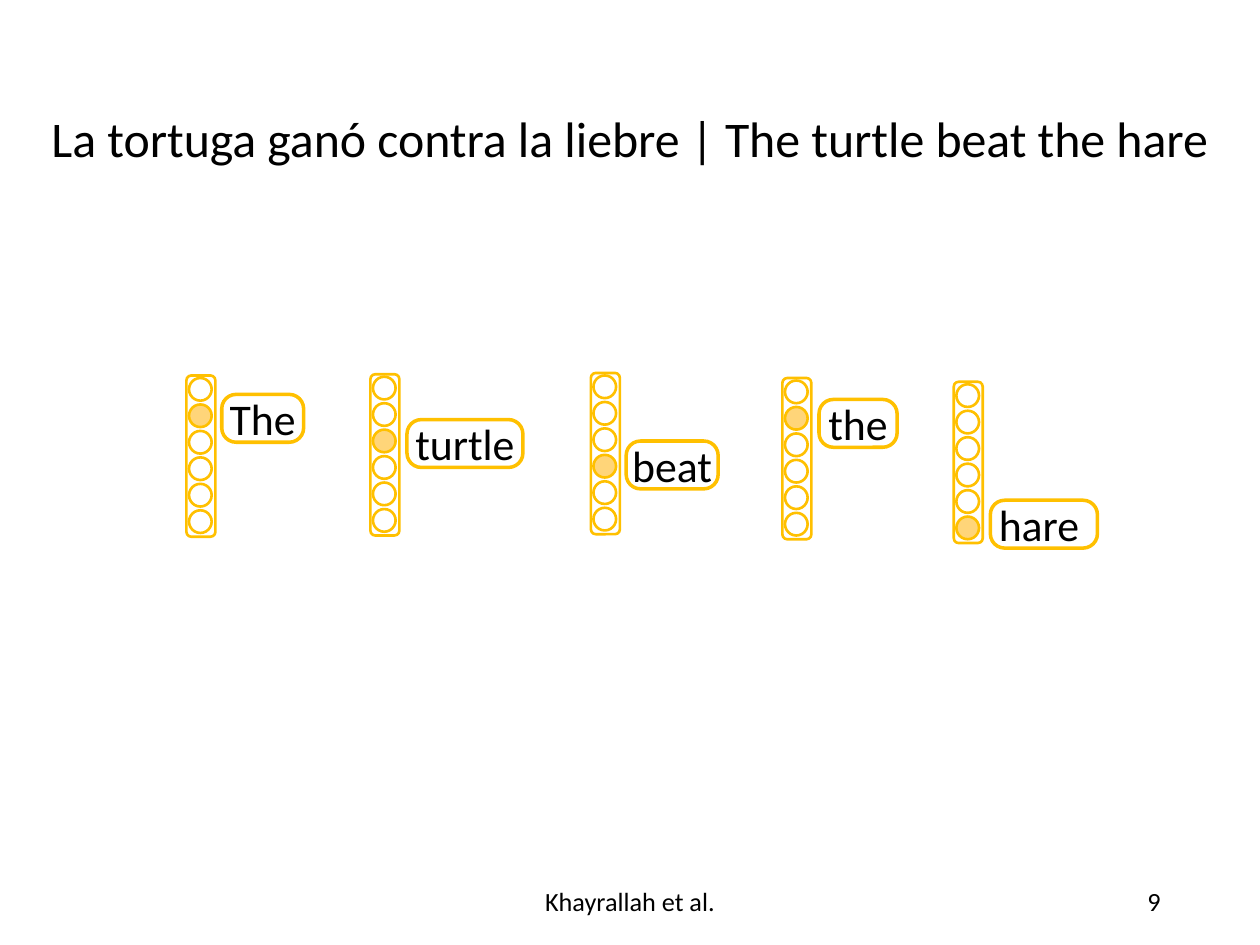
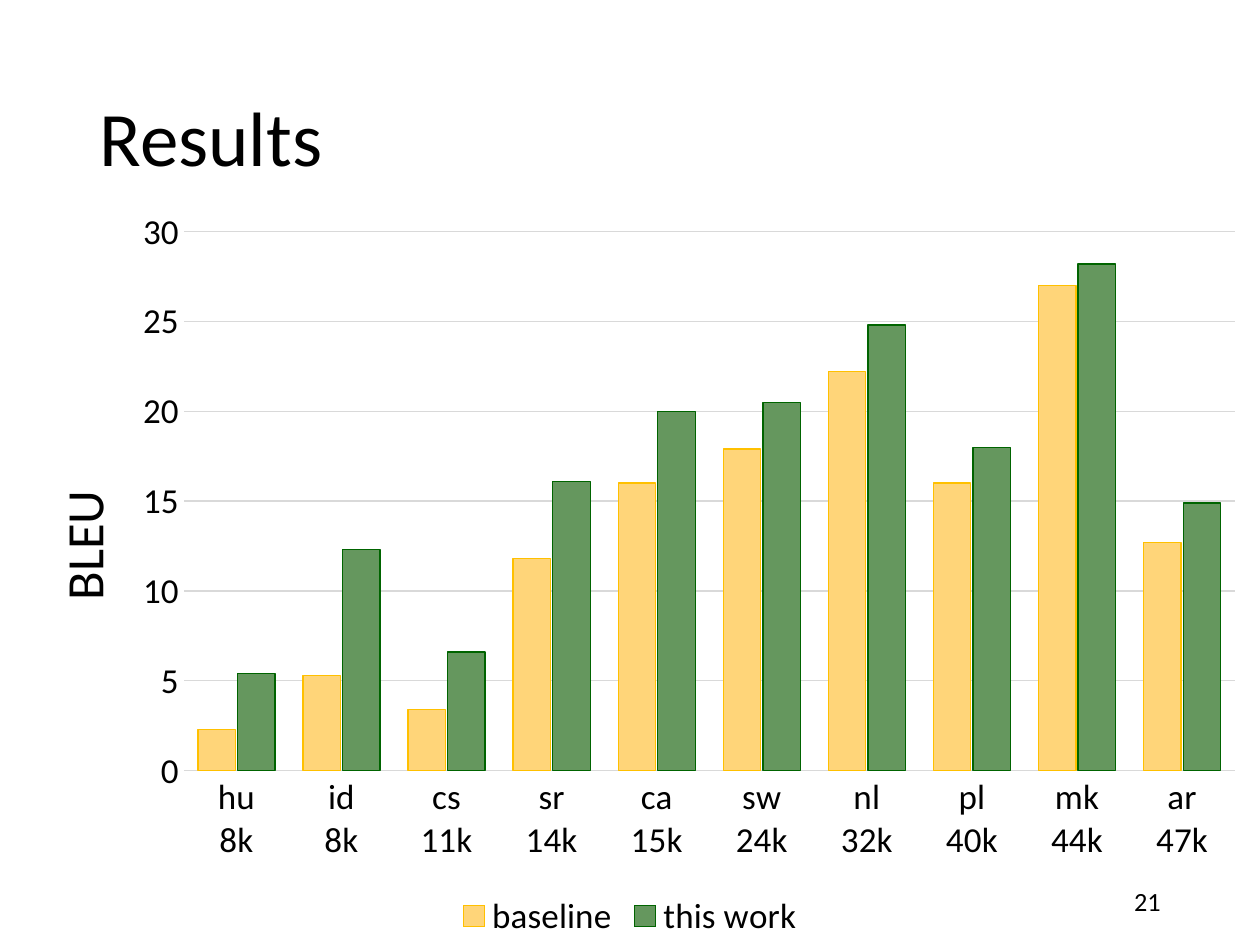
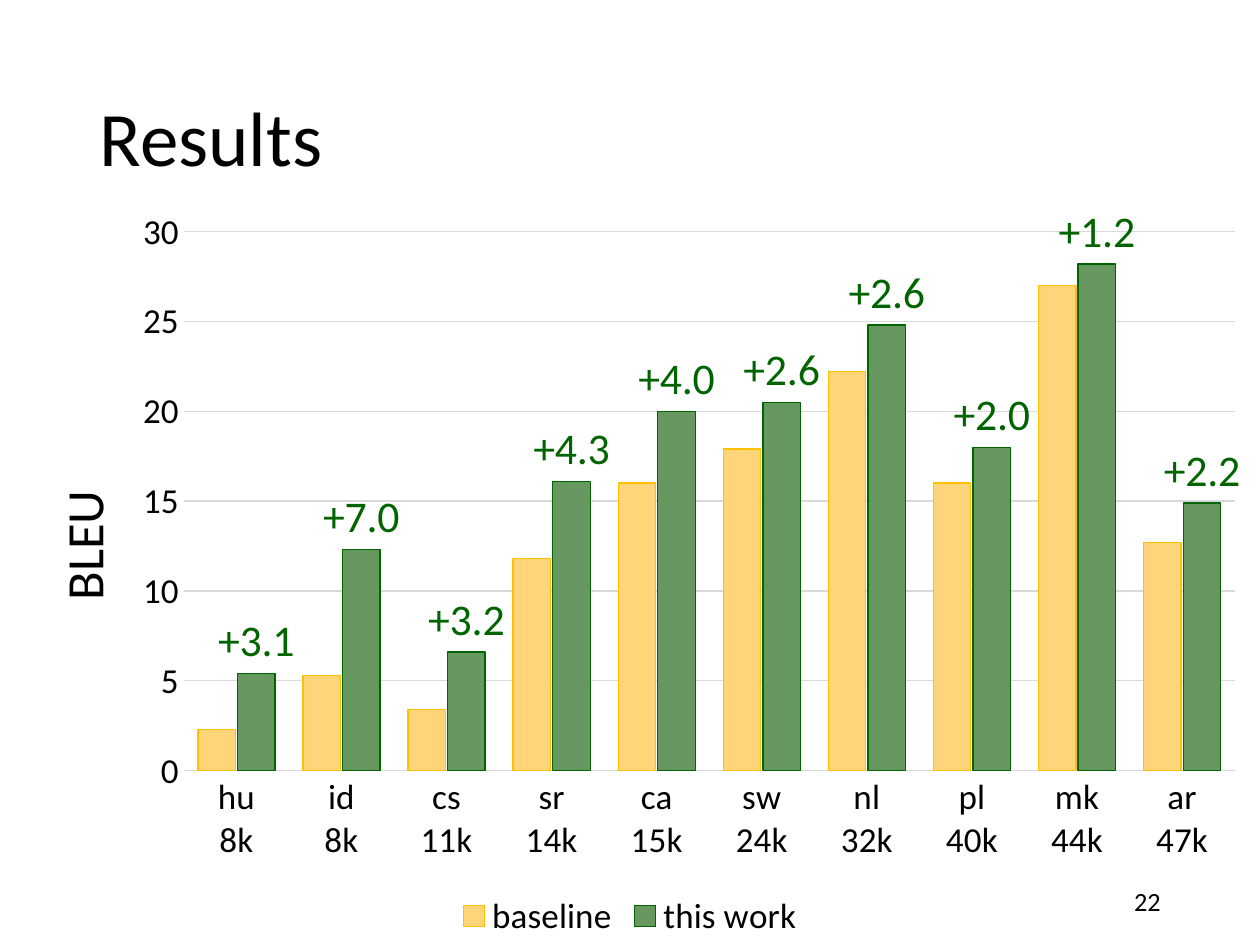
from lxml import etree
from pptx import Presentation
from pptx.chart.data import CategoryChartData
from pptx.dml.color import RGBColor
from pptx.enum.chart import XL_CHART_TYPE, XL_LABEL_POSITION, XL_LEGEND_POSITION, XL_TICK_MARK
from pptx.enum.shapes import MSO_SHAPE
from pptx.enum.text import MSO_ANCHOR, MSO_AUTO_SIZE, PP_ALIGN
from pptx.oxml.ns import qn
from pptx.util import Inches, Pt

BLACK = RGBColor(0x00, 0x00, 0x00)
WHITE = RGBColor(0xFF, 0xFF, 0xFF)
AMBER = RGBColor(0xFF, 0xC0, 0x00)
LIGHT_AMBER = RGBColor(0xFF, 0xD5, 0x79)
GREEN = RGBColor(0x65, 0x97, 0x5E)
DARK_GREEN = RGBColor(0x00, 0x64, 0x00)
GRID_GREY = RGBColor(0xD9, 0xD9, 0xD9)

LEFT, CENTER, RIGHT = PP_ALIGN.LEFT, PP_ALIGN.CENTER, PP_ALIGN.RIGHT
MIDDLE = MSO_ANCHOR.MIDDLE
NO_AUTO_SIZE = MSO_AUTO_SIZE.NONE
OVAL, ROUNDED = MSO_SHAPE.OVAL, MSO_SHAPE.ROUNDED_RECTANGLE
COLUMNS = XL_CHART_TYPE.COLUMN_CLUSTERED
LEGEND_BOTTOM = XL_LEGEND_POSITION.BOTTOM
OUTSIDE_END = XL_LABEL_POSITION.OUTSIDE_END
NO_TICK = XL_TICK_MARK.NONE

FONT = "Calibri"
DOT_COUNT, DOT_SIZE, DOT_PITCH, DOT_INSET = 6, 0.18, 0.21, 0.02
VECTOR_WIDTH, VECTOR_HEIGHT = 0.23, 1.28
CHIP_HEIGHT = 0.38

# word, vector left and top, index of the lit dot, chip left, top and width
WORDS = [
    ("The", 1.48, 2.98, 1, 1.76, 3.13, 0.65),
    ("turtle", 2.94, 2.97, 2, 3.23, 3.33, 0.92),
    ("beat ", 4.69, 2.96, 3, 4.97, 3.5, 0.73),
    ("the", 6.21, 3.0, 1, 6.5, 3.17, 0.62),
    ("hare ", 7.57, 3.03, 5, 7.86, 3.97, 0.85),
]

# language, training size, baseline score, score of this work
SCORES = [
    ("hu", "8k", 2.3, 5.4),
    ("id", "8k", 5.3, 12.3),
    ("cs", "11k", 3.4, 6.6),
    ("sr", "14k", 11.8, 16.1),
    ("ca", "15k", 16, 20),
    ("sw", "24k", 17.9, 20.5),
    ("nl", "32k", 22.2, 24.8),
    ("pl", "40k", 16, 18),
    ("mk", "44k", 27, 28.2),
    ("ar", "47k", 12.7, 14.9),
]


def set_font(font, size, color=BLACK):
    """Give a font the deck's typeface, a size and a colour."""
    font.name, font.size, font.bold = FONT, Pt(size), False
    font.color.rgb = color


def write(frame, text, size, align):
    """Write one vertically centred paragraph into a text frame."""
    frame.text = text
    frame.vertical_anchor = MIDDLE
    paragraph = frame.paragraphs[0]
    paragraph.alignment = align
    set_font(paragraph.runs[0].font, size)
    return paragraph


def paint(item, fill, line, width):
    """Set the fill (None for hollow) and outline of a shape or series."""
    if fill is None:
        item.fill.background()
    else:
        item.fill.solid()
        item.fill.fore_color.rgb = fill
    item.line.color.rgb = line
    item.line.width = Pt(width)


def place_chart_part(parent, index, **fractions):
    """Fix a chart part at fractions of the chart area."""
    for old in parent.findall(qn("c:layout")):
        parent.remove(old)
    layout = etree.Element(qn("c:layout"))
    manual = etree.SubElement(layout, qn("c:manualLayout"))
    if "w" in fractions:
        etree.SubElement(manual, qn("c:layoutTarget")).set("val", "inner")
    for side in "xy":
        etree.SubElement(manual, qn(f"c:{side}Mode")).set("val", "edge")
    for key, value in fractions.items():
        etree.SubElement(manual, qn(f"c:{key}")).set("val", str(value))
    parent.insert(index, layout)


class Deck:
    """The presentation, its style and the current slide."""

    def __init__(self):
        """Start a 4:3 presentation."""
        self.deck = Presentation()
        self.deck.slide_width, self.deck.slide_height = Inches(10), Inches(7.5)
        self.page = None

    def add_page(self, title, number, left=0.69, width=8.62, size=44, align=LEFT):
        """Add a slide with its title and page number."""
        self.page = self.deck.slides.add_slide(self.deck.slide_layouts[5])
        box = self.page.shapes.title
        box.left, box.top = Inches(left), Inches(0.4)
        box.width, box.height = Inches(width), Inches(1.45)
        box.text_frame.auto_size = NO_AUTO_SIZE
        write(box.text_frame, title, size, align).line_spacing = 0.9
        self.footer(str(number), 7.06, 2.25, RIGHT)

    def footer(self, text, left, width, align):
        """Add one entry to the footer line."""
        box = self.page.shapes.add_textbox(Inches(left), Inches(6.95), Inches(width), Inches(0.4))
        box.text_frame.word_wrap = True
        write(box.text_frame, text, 15, align)

    def shape(self, parent, kind, left, top, width, height, fill, weight):
        """Add an amber-outlined shape to a shape collection."""
        box = parent.add_shape(kind, Inches(left), Inches(top), Inches(width), Inches(height))
        box.shadow.inherit = False
        paint(box, fill, AMBER, weight)
        return box

    def vector(self, left, top, lit):
        """Draw a grouped column of dots with one dot lit."""
        parts = self.page.shapes.add_group_shape().shapes
        self.shape(parts, ROUNDED, left, top, VECTOR_WIDTH, VECTOR_HEIGHT, WHITE, 1.5)
        for index in range(DOT_COUNT):
            dot_top = top + DOT_INSET + index * DOT_PITCH
            fill = LIGHT_AMBER if index == lit else WHITE
            self.shape(parts, OVAL, left + DOT_INSET, dot_top, DOT_SIZE, DOT_SIZE, fill, 1.5)

    def chip(self, word, left, top, width):
        """Draw a hollow rounded label holding a word."""
        box = self.shape(self.page.shapes, ROUNDED, left, top, width, CHIP_HEIGHT, None, 2)
        box.adjustments[0] = 0.3
        frame = box.text_frame
        frame.margin_left = frame.margin_right = frame.margin_top = frame.margin_bottom = 0
        write(frame, word, 25, CENTER)

    def score_chart(self, show_gains):
        """Add the score chart, with gains above the bars if wanted."""
        data = CategoryChartData()
        data.categories = [f"{language}\n{size}" for language, size, _, _ in SCORES]
        data.add_series("baseline", [row[2] for row in SCORES])
        data.add_series("this work", [row[3] for row in SCORES])
        chart = self.page.shapes.add_chart(
            COLUMNS, Inches(0), Inches(1.56), Inches(10), Inches(5.94), data).chart
        set_font(chart.font, 20)
        chart.has_title = False
        chart.has_legend = True
        chart.legend.position = LEGEND_BOTTOM
        chart.legend.include_in_layout = False
        set_font(chart.legend.font, 20)

        plot = chart.plots[0]
        plot.vary_by_categories = False
        plot.gap_width, plot.overlap = 75, -6
        for series, fill, line in zip(plot.series, (LIGHT_AMBER, GREEN), (AMBER, DARK_GREEN)):
            paint(series.format, fill, line, 0.75)
        self.style_axes(chart)
        if show_gains:
            self.label_gains(plot.series[1])

    def style_axes(self, chart):
        """Format both axes and place the plot and the axis title."""
        scores = chart.value_axis
        for axis in (chart.category_axis, scores):
            axis.major_tick_mark = axis.minor_tick_mark = NO_TICK
            set_font(axis.tick_labels.font, 20)
        scores.minimum_scale, scores.maximum_scale, scores.major_unit = 0, 30, 5
        scores.format.line.fill.background()
        for line in (chart.category_axis.format.line, scores.major_gridlines.format.line):
            line.color.rgb = GRID_GREY
            line.width = Pt(0.75)
        frame = scores.axis_title.text_frame
        frame.text = "BLEU"
        set_font(frame.paragraphs[0].runs[0].font, 30)

        title = chart.element.xpath("//c:valAx/c:title")[0]
        title.xpath(".//a:bodyPr")[0].set("rot", "-5400000")
        place_chart_part(title, 1, x=0.03, y=0.38)
        plot_area = chart.element.xpath("//c:plotArea")[0]
        place_chart_part(plot_area, 0, x=0.146, y=0.047, w=0.834, h=0.72)

    def label_gains(self, series):
        """Write the gain over the baseline above each bar."""
        for index, (_, _, baseline, score) in enumerate(SCORES):
            label = series.points[index].data_label
            label.text_frame.text = f"{score - baseline:+.1f}"
            set_font(label.text_frame.paragraphs[0].runs[0].font, 25, DARK_GREEN)
            label.position = OUTSIDE_END


def main():
    """Build the three slides and save them."""
    talk = Deck()
    talk.add_page("La tortuga ganó contra la liebre | The turtle beat the hare", 9,
                  left=0, width=10, size=28.5, align=CENTER)
    talk.footer("Khayrallah et al.", 3.31, 3.38, CENTER)
    for word, left, top, lit, chip_left, chip_top, chip_width in WORDS:
        talk.vector(left, top, lit)
        talk.chip(word, chip_left, chip_top, chip_width)

    for number, show_gains in ((21, False), (22, True)):
        talk.add_page("Results", number)
        talk.score_chart(show_gains)
    talk.deck.save("out.pptx")


main()
